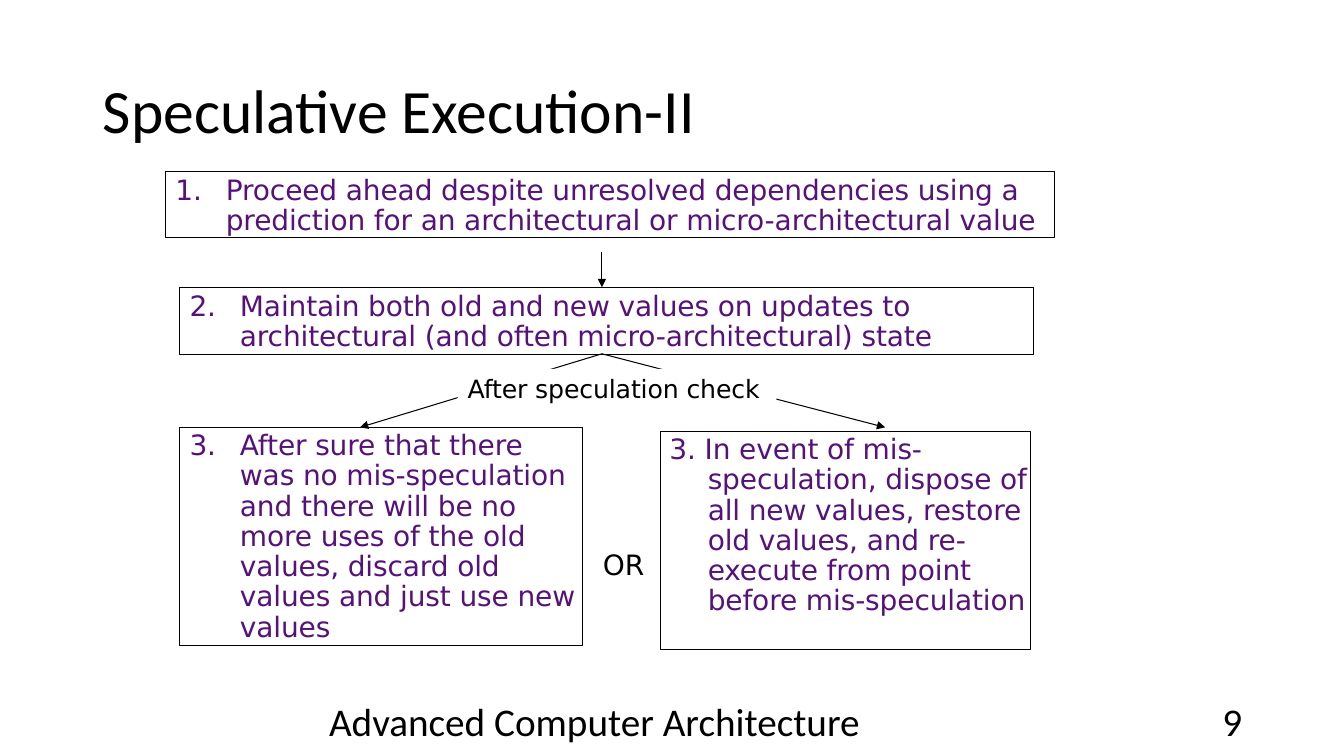
from dataclasses import dataclass

from lxml import etree
from pptx import Presentation
from pptx.dml.color import RGBColor
from pptx.enum.shapes import MSO_CONNECTOR, MSO_SHAPE
from pptx.enum.text import MSO_ANCHOR, PP_ALIGN
from pptx.oxml.ns import qn
from pptx.util import Inches, Pt

RECTANGLE = MSO_SHAPE.RECTANGLE
STRAIGHT = MSO_CONNECTOR.STRAIGHT
TOP, MIDDLE = MSO_ANCHOR.TOP, MSO_ANCHOR.MIDDLE
LEFT, CENTER, RIGHT = PP_ALIGN.LEFT, PP_ALIGN.CENTER, PP_ALIGN.RIGHT
TITLE_ONLY = 5


@dataclass(frozen=True)
class Theme:
    heading_font: str = "Calibri"
    body_font: str = "DejaVu Sans"
    black: RGBColor = RGBColor(0x00, 0x00, 0x00)
    white: RGBColor = RGBColor(0xFF, 0xFF, 0xFF)
    purple: RGBColor = RGBColor(0x56, 0x12, 0x7A)
    title_size: int = 44
    footer_size: int = 28
    step_size: int = 20
    label_size: int = 18
    line_width: float = 0.75
    tracking: str = "-10"


class SlideBuilder:
    def __init__(self, slide, theme):
        self.slide = slide
        self.theme = theme

    def style(self, paragraph, font, size, color):
        for span in paragraph.runs:
            span.font.name = font
            span.font.size = Pt(size)
            span.font.color.rgb = color

    def tighten(self, paragraph):
        for span in paragraph.runs:
            span.font._element.set("spc", self.theme.tracking)

    def set_insets(self, frame, left, top):
        frame.margin_left = Inches(left)
        frame.margin_top = Inches(top)
        frame.margin_right = frame.margin_bottom = 0

    def title(self, text, left, top, width, height):
        box = self.slide.shapes.title
        box.left, box.top = Inches(left), Inches(top)
        box.width, box.height = Inches(width), Inches(height)
        frame = box.text_frame
        frame.text = text
        frame.vertical_anchor = MIDDLE
        para = frame.paragraphs[0]
        para.alignment = LEFT
        para.line_spacing = 0.9
        self.style(para, self.theme.heading_font, self.theme.title_size, self.theme.black)

    def footer(self, text, left, width, alignment):
        box = self.slide.shapes.add_textbox(
            Inches(left), Inches(6.95), Inches(width), Inches(0.4))
        frame = box.text_frame
        frame.word_wrap = True
        frame.text = text
        frame.vertical_anchor = MIDDLE
        para = frame.paragraphs[0]
        para.alignment = alignment
        self.style(para, self.theme.heading_font, self.theme.footer_size, self.theme.black)

    def step(self, text, left, top, width, height, line_spacing, margin=0.6, hanging=0.5):
        box = self.slide.shapes.add_shape(
            RECTANGLE, Inches(left), Inches(top), Inches(width), Inches(height))
        box.shadow.inherit = False
        box.fill.background()
        box.line.color.rgb = self.theme.black
        box.line.width = Pt(self.theme.line_width)
        frame = box.text_frame
        frame.word_wrap = True
        frame.vertical_anchor = TOP
        self.set_insets(frame, 0, 0.04)
        frame.text = text
        para = frame.paragraphs[0]
        para.alignment = LEFT
        para.line_spacing = line_spacing
        # Hanging number with a tab stop at the text margin
        properties = para._p.get_or_add_pPr()
        properties.set("marL", str(Inches(margin)))
        properties.set("indent", str(-Inches(hanging)))
        if "\t" in text:
            tabs = etree.SubElement(properties, qn("a:tabLst"))
            etree.SubElement(tabs, qn("a:tab"), pos=str(Inches(margin)), algn="l")
        self.style(para, self.theme.body_font, self.theme.step_size, self.theme.purple)
        self.tighten(para)

    def arrow(self, start, end):
        line = self.slide.shapes.add_connector(
            STRAIGHT, *(Inches(value) for value in (*start, *end)))
        line.line.color.rgb = self.theme.black
        line.line.width = Pt(self.theme.line_width)
        outline = line.line._get_or_add_ln()
        etree.SubElement(outline, qn("a:tailEnd"), type="triangle", w="med", len="med")
        etree.SubElement(line._element.spPr, qn("a:effectLst"))

    def label(self, text, left, top, width, height, size, insets):
        box = self.slide.shapes.add_textbox(
            Inches(left), Inches(top), Inches(width), Inches(height))
        box.fill.solid()
        box.fill.fore_color.rgb = self.theme.white
        frame = box.text_frame
        frame.word_wrap = True
        self.set_insets(frame, *insets)
        frame.text = text
        para = frame.paragraphs[0]
        self.style(para, self.theme.body_font, size, self.theme.black)
        self.tighten(para)


def main():
    deck = Presentation()
    deck.slide_width, deck.slide_height = Inches(13.33), Inches(7.5)
    theme = Theme()
    page = SlideBuilder(deck.slides.add_slide(deck.slide_layouts[TITLE_ONLY]), theme)

    # Title and footer
    page.title("Speculative Execution-II", 0.92, 0.4, 11.5, 1.45)
    page.footer("Advanced Computer Architecture", 2.87, 6.05, CENTER)
    page.footer("9", 9.42, 3, RIGHT)

    # Steps
    page.step("1.\tProceed ahead despite unresolved dependencies using a "
              "prediction for an architectural or micro-architectural value",
              1.64, 1.7, 8.82, 0.66, Pt(21.8))
    page.step("2.\tMaintain both old and new values on updates to "
              "architectural (and often micro-architectural) state",
              1.78, 2.85, 8.47, 0.67, Pt(21.8))
    page.step("3.\tAfter sure that there was no mis-speculation and there will be no "
              "more uses of the old values, discard old values and just use new values",
              1.78, 4.24, 4, 2.16, 0.9)
    page.step("3. In event of mis-speculation, dispose of all new values, "
              "restore old values, and re-execute from point before mis-speculation",
              6.55, 4.28, 3.67, 2.16, 0.9, margin=0.47, hanging=0.38)

    # Arrows from step to step
    fork = (5.97, 3.51)
    page.arrow((5.97, 2.5), (5.97, 2.85))
    for branch in ((3.57, 4.24), (8.78, 4.24)):
        page.arrow(fork, branch)

    # Labels
    page.label("After speculation check", 4.54, 3.66, 3.16, 0.4, theme.label_size, (0.1, 0.04))
    page.label("OR", 5.97, 5.42, 0.44, 0.36, theme.step_size, (0.01, 0.01))

    deck.save("out.pptx")


if __name__ == "__main__":
    main()
